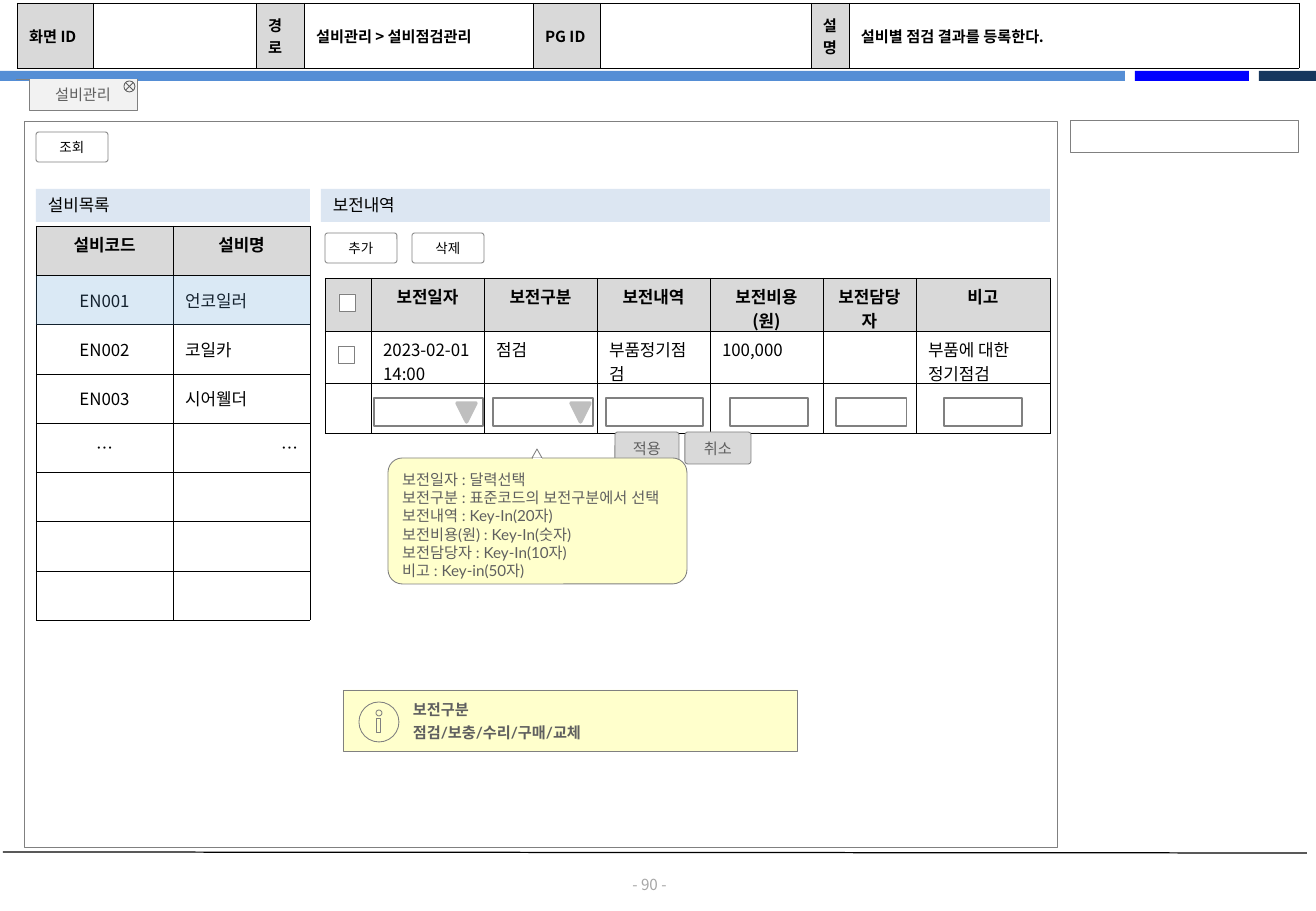
from collections import namedtuple
from itertools import accumulate

from lxml import etree
from pptx import Presentation
from pptx.dml.color import RGBColor
from pptx.enum.shapes import MSO_CONNECTOR, MSO_SHAPE
from pptx.enum.text import MSO_ANCHOR, PP_ALIGN
from pptx.oxml.ns import qn
from pptx.util import Pt

EMU_PER_PX = 7526
RECT, ROUND, OVAL = MSO_SHAPE.RECTANGLE, MSO_SHAPE.ROUNDED_RECTANGLE, MSO_SHAPE.OVAL
TRIANGLE, CROSSED_CIRCLE = MSO_SHAPE.ISOSCELES_TRIANGLE, MSO_SHAPE.FLOWCHART_SUMMING_JUNCTION
STRAIGHT = MSO_CONNECTOR.STRAIGHT
LEFT, CENTER, RIGHT = PP_ALIGN.LEFT, PP_ALIGN.CENTER, PP_ALIGN.RIGHT
TOP, MIDDLE = MSO_ANCHOR.TOP, MSO_ANCHOR.MIDDLE

BLACK, WHITE = RGBColor(0, 0, 0), RGBColor(0xFF, 0xFF, 0xFF)
GRAY, TEXT_GRAY = RGBColor(0x80, 0x80, 0x80), RGBColor(0x5F, 0x5F, 0x5F)
HEAD_GRAY, MARK_GRAY = RGBColor(0xD9, 0xD9, 0xD9), RGBColor(0xBF, 0xBF, 0xBF)
TAB_GRAY, PAGE_GRAY = RGBColor(0xF2, 0xF2, 0xF2), RGBColor(0xA6, 0xA6, 0xA6)
BAR_BLUE, PURE_BLUE = RGBColor(0x55, 0x8E, 0xD5), RGBColor(0, 0, 0xFF)
NAVY, PALE_BLUE = RGBColor(0x17, 0x37, 0x5E), RGBColor(0xDC, 0xE6, 0xF2)
PICK_BLUE, NOTE_YELLOW = RGBColor(0x5B, 0x9B, 0xD5), RGBColor(0xFF, 0xFF, 0xCC)

NOTO = "Noto Sans CJK KR"
PLAIN = {"name": "Arial", "size": Pt(8)}
CAPTION = {"name": "Arial", "size": Pt(10)}
GRAY_LABEL = {"name": "Lato", "size": Pt(9), "color": TEXT_GRAY}
CELL = {"name": NOTO, "size": Pt(10)}
CELL_HEAD = {**CELL, "bold": True}
SCREEN_HEAD = {"name": NOTO, "size": Pt(9), "bold": True}
INSETS = (12, 6, 12, 6)

Box = namedtuple("Box", "x y w h")


def px(*lengths):
    return [round(length * EMU_PER_PX) for length in lengths]


def write(frame, text, style, align=LEFT, space_after=0):
    for number, line in enumerate(text.split("\n")):
        paragraph = frame.paragraphs[0] if number == 0 else frame.add_paragraph()
        paragraph.alignment = align
        paragraph.space_after = Pt(space_after)
        run = paragraph.add_run()
        run.text = line
        run.font.color.rgb = style.get("color", BLACK)
        for key in ("name", "size", "bold"):
            setattr(run.font, key, style.get(key))
        etree.SubElement(run._r.get_or_add_rPr(), qn("a:ea"), typeface=style["name"])


def paint(shape, fill=None, line=None, weight=0.5):
    shape.shadow.inherit = False
    if fill is None:
        shape.fill.background()
    else:
        shape.fill.solid()
        shape.fill.fore_color.rgb = fill
    if line is None:
        shape.line.fill.background()
    else:
        shape.line.color.rgb = line
        shape.line.width = Pt(weight)


def label(shape, text, style, align=CENTER, anchor=MIDDLE, insets=INSETS, wrap=True, space_after=0):
    frame = shape.text_frame
    frame.word_wrap = wrap
    frame.vertical_anchor = anchor
    frame.margin_left, frame.margin_top, frame.margin_right, frame.margin_bottom = px(*insets)
    write(frame, text, style, align, space_after)


def block(slide, kind, box, fill=None, line=None, weight=0.5, corner=None):
    shape = slide.shapes.add_shape(kind, *px(*box))
    paint(shape, fill, line, weight)
    if corner is not None:
        shape.adjustments[0] = corner
    return shape


def rule(slide, ends, color, weight):
    line = slide.shapes.add_connector(STRAIGHT, *px(*ends))
    line.line.color.rgb = color
    line.line.width = Pt(weight)
    etree.SubElement(line._element.spPr, qn("a:effectLst"))


def button(slide, box, text, style=PLAIN, fill=None):
    label(block(slide, ROUND, box, fill, GRAY, corner=0.088), text, style, insets=(0, 0, 0, 0))


def border(cell):
    for side in ("lnL", "lnR", "lnT", "lnB"):
        edge = etree.SubElement(cell._tc.get_or_add_tcPr(), qn(f"a:{side}"), w=str(Pt(0.25)))
        color = etree.SubElement(etree.SubElement(edge, qn("a:solidFill")), qn("a:srgbClr"))
        color.set("val", str(BLACK))


def grid(slide, x, y, widths, heights, rows, look):
    """Draw a table; look(row, column) gives style, alignment, anchor and fill."""
    table = slide.shapes.add_table(len(heights), len(widths), *px(x, y, sum(widths), sum(heights))).table
    table.first_row = table.horz_banding = False
    for column, width in zip(table.columns, px(*widths)):
        column.width = width
    for row, height in zip(table.rows, px(*heights)):
        row.height = height
    for r, texts in enumerate(rows):
        for c, text in enumerate(texts):
            cell = table.cell(r, c)
            style, align, anchor, fill = look(r, c)
            border(cell)
            if fill is None:
                cell.fill.background()
            else:
                cell.fill.solid()
                cell.fill.fore_color.rgb = fill
            cell.vertical_anchor = anchor
            if text:
                write(cell.text_frame, text, style, align)
            else:
                cell.margin_top = cell.margin_bottom = 0


def page_frame(slide, box):
    for x, width, color in ((0, 1125, BAR_BLUE), (1135, 114, PURE_BLUE), (1259, 57, NAVY)):
        block(slide, RECT, (box.x + x, box.y + 71, width, 10), color)
    rule(slide, (box.x + 3, box.y + 852, box.x + 1307, box.y + 853), BLACK, 0.75)
    page = slide.shapes.add_textbox(*px(box.x + 613, box.y + 875, 73, 18))
    label(page, "- 90 -", {"name": NOTO, "size": Pt(9), "color": PAGE_GRAY}, insets=(0, 0, 0, 0))


def screen_header(slide, box):
    widths = (76, 163, 48, 229, 67, 211, 38, 450)
    texts = ("화면 ID", "", "경로", "설비관리 > 설비점검관리", "PG ID", "", "설명",
             "설비별 점검 결과를 등록한다.")
    grid(slide, box.x, box.y, widths, [box.h], [texts],
         lambda r, c: (SCREEN_HEAD, LEFT, MIDDLE, WHITE if c % 2 else HEAD_GRAY))


def screen_tab(slide, box):
    rule(slide, (box.x, box.y, box.x - 13, box.y), GRAY, 0.5)
    right, bottom = box.x + box.w, box.y + box.h
    outline = slide.shapes.build_freeform(right, box.y, scale=EMU_PER_PX)
    outline.add_line_segments([(right, bottom), (box.x, bottom), (box.x, box.y)], close=False)
    tab = outline.convert_to_shape()
    paint(tab, TAB_GRAY, GRAY)
    label(tab, "설비관리", GRAY_LABEL, insets=(6, 6, 6, 6))
    block(slide, CROSSED_CIRCLE, (right - 13, box.y + 2, 11, 11), None, TEXT_GRAY)


def section_title(slide, box, text):
    label(block(slide, RECT, box, PALE_BLUE), text, CAPTION, LEFT, TOP)


def equipment_list(slide, box):
    rows = [("설비코드", "설비명"), ("EN001", "언코일러"), ("EN002", "코일카"), ("EN003", "시어웰더"),
            ("…", "…")] + [("", "")] * 3

    def look(r, c):
        if r == 0:
            return CELL_HEAD, CENTER, TOP, HEAD_GRAY
        return CELL, CENTER if c == 0 else RIGHT if r == 4 else LEFT, MIDDLE, None

    section_title(slide, (box.x, box.y, box.w, 33), "설비목록")
    grid(slide, box.x, box.y + 37, (137, 137), [box.h / 8 - 4.6] * 8, rows, look)
    picked = block(slide, RECT, (box.x, box.y + 87, box.w, 49), PICK_BLUE)
    color = picked._element.spPr.find(qn("a:solidFill"))[0]
    etree.SubElement(color, qn("a:alpha"), val="22000")


def maintenance_history(slide, box):
    left, top = box.x + 4, box.y + 89
    widths = (46, 113, 113, 113, 113, 93, 134)
    rows = [("", "보전일자", "보전구분", "보전내역", "보전비용(원)", "보전담당자", "비고"),
            ("", "2023-02-01 14:00", "점검", "부품정기점검", "100,000", "", "부품에 대한 정기점검"),
            ("",) * 7]
    section_title(slide, (box.x, box.y, box.w, 33), "보전내역")
    for offset, text in ((0, "추가"), (87, "삭제")):
        button(slide, (left + offset, box.y + 44, 72, 30), text)
    grid(slide, left, top, widths, (50, 50, 50), rows,
         lambda r, c: (CELL, LEFT, TOP, None) if r else (CELL_HEAD, CENTER, TOP, HEAD_GRAY))
    for x, y in ((14, 16), (13, 68)):
        block(slide, RECT, (left + x, top + y, 17, 18), WHITE, GRAY)
    insets = ((3, 109), (9, 100), (9, 97), (20, 78), (13, 71), (28, 78))
    for column, (inset, width) in zip(accumulate(widths), insets):
        block(slide, RECT, (left + column + inset, top + 120, width, 28), WHITE, GRAY, 0.75)
    for x in (132, 246):
        block(slide, TRIANGLE, (left + x, top + 125, 19, 19), MARK_GRAY, MARK_GRAY, 2).rotation = 180
    for x, width, text in ((290, 64, "적용"), (360, 66, "취소")):
        button(slide, (left + x, top + 154, width, 32), text, GRAY_LABEL, HEAD_GRAY)


def input_callout(slide, box):
    guide = "\n".join(("보전일자 : 달력선택", "보전구분 : 표준코드의 보전구분에서 선택", "보전내역 : Key-In(20자)",
                       "보전비용(원) : Key-In(숫자)", "보전담당자 : Key-In(10자)", "비고 : Key-in(50자)"))
    bubble = block(slide, ROUND, box, NOTE_YELLOW, GRAY, corner=0.114)
    label(bubble, guide, GRAY_LABEL, LEFT, TOP, (10, 8, 6, 4), wrap=False)
    block(slide, TRIANGLE, (box.x + 144, box.y - 9, 10, 9), WHITE, GRAY)
    rule(slide, (box.x + 154, box.y, box.x + 145, box.y), WHITE, 0.5)


def code_note(slide, box):
    note = block(slide, RECT, box, NOTE_YELLOW, GRAY)
    label(note, "보전구분\n점검/보충/수리/구매/교체", {**GRAY_LABEL, "bold": True}, LEFT,
          insets=(70, 6, 12, 6), space_after=3)
    for kind, x, y, w, h in ((OVAL, 16, 12, 40, 40), (OVAL, 33, 20, 6, 6), (RECT, 34, 28, 4, 15)):
        block(slide, kind, (box.x + x, box.y + y, w, h), None, GRAY)


def main():
    deck = Presentation()
    deck.slide_width, deck.slide_height = px(1316, 911)
    slide = deck.slides.add_slide(deck.slide_layouts[6])
    page_frame(slide, Box(0, 0, 1316, 911))
    block(slide, RECT, Box(24, 121, 1034, 727), None, GRAY)
    screen_header(slide, Box(17, 3, 1282, 65))
    screen_tab(slide, Box(29, 79, 108, 31))
    block(slide, RECT, Box(1070, 120, 229, 32), WHITE, GRAY)
    button(slide, Box(36, 132, 72, 30), "조회")
    equipment_list(slide, Box(36, 189, 274, 431))
    maintenance_history(slide, Box(321, 189, 729, 245))
    input_callout(slide, Box(388, 458, 299, 126))
    code_note(slide, Box(343, 690, 455, 62))
    deck.save("out.pptx")


if __name__ == "__main__":
    main()
